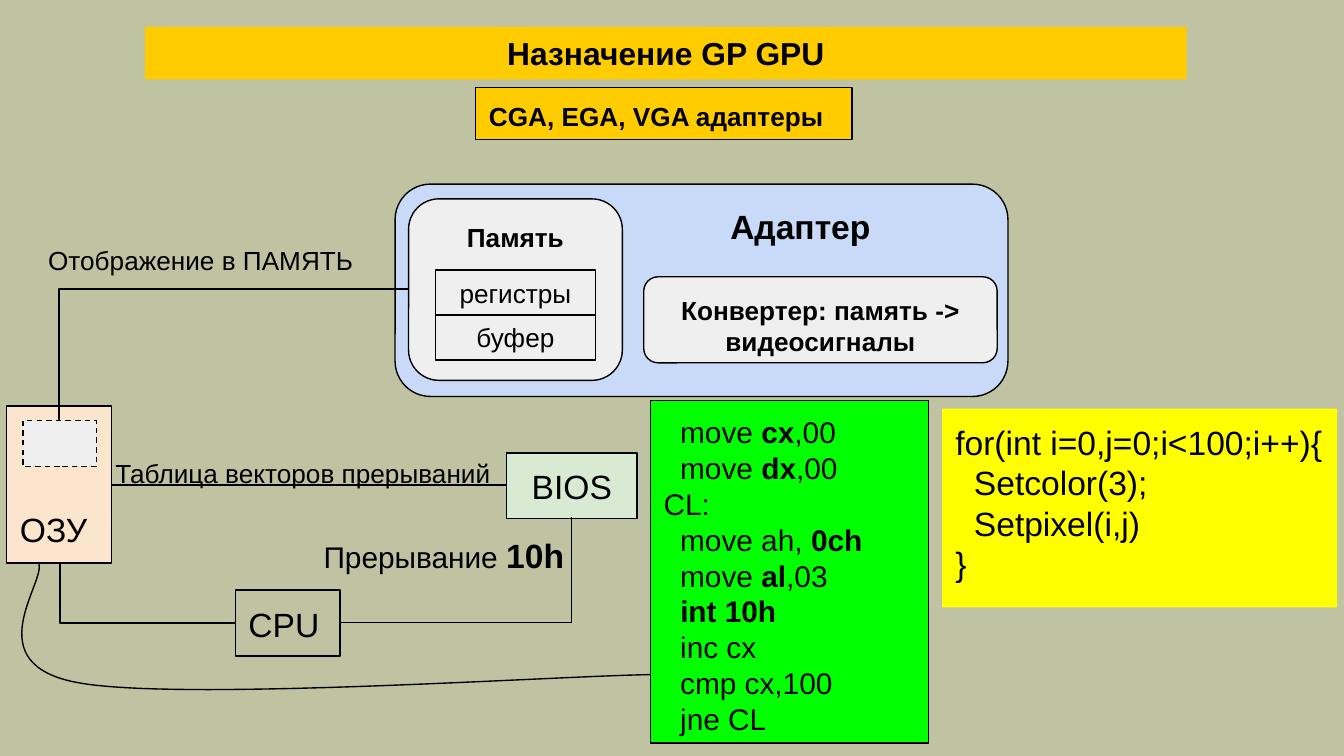
from dataclasses import dataclass

from lxml import etree
from pptx import Presentation
from pptx.dml.color import RGBColor
from pptx.enum.dml import MSO_LINE
from pptx.enum.shapes import MSO_CONNECTOR, MSO_SHAPE
from pptx.enum.text import MSO_ANCHOR, PP_ALIGN
from pptx.oxml.ns import qn
from pptx.util import Emu, Pt

SCALE = 9144  # EMU in one px, 100 px to the inch
SLIDE_WIDTH = 1000
RECTANGLE, ROUNDED = MSO_SHAPE.RECTANGLE, MSO_SHAPE.ROUNDED_RECTANGLE
ELBOW = MSO_CONNECTOR.ELBOW
LEFT, CENTER = PP_ALIGN.LEFT, PP_ALIGN.CENTER
TOP, MIDDLE, BOTTOM = MSO_ANCHOR.TOP, MSO_ANCHOR.MIDDLE, MSO_ANCHOR.BOTTOM
DASH = MSO_LINE.DASH
FONT = "Arial"
COLORS = {
    "background": "C0C3A1", "ink": "000000", "gold": "FFCC00",
    "adapter": "C9DAF8", "panel": "EFEFEF", "memory": "FCE5CD",
    "bios": "D9EAD3", "assembler": "00FF00", "code": "FFFF00",
}


@dataclass(frozen=True)
class Run:
    text: str
    size: int
    bold: bool = False


@dataclass(frozen=True)
class Box:
    left: int
    top: int
    width: int
    height: int
    lines: tuple[tuple[Run, ...], ...] = ()
    fill: str | None = None
    outlined: bool = True
    kind: int = RECTANGLE
    align: int = LEFT
    anchor: int = TOP
    vertical_inset: int = 10
    dashed: bool = False


@dataclass(frozen=True)
class Link:
    begin: tuple[int, int]
    end: tuple[int, int]
    preset: str = "bentConnector2"
    rotation: int = 0


def px(value: int) -> Emu:
    return Emu(value * SCALE)


def color(name: str) -> RGBColor:
    return RGBColor.from_string(COLORS[name])


def line(text: str, size: int, bold: bool = False) -> tuple[Run, ...]:
    return (Run(text, size, bold),)


def code_line(before: str, strong: str = "", after: str = "") -> tuple[Run, ...]:
    runs = (Run(before, 16), Run(strong, 16, True), Run(after, 16))
    return tuple(run for run in runs if run.text)


def draw_outline(shape) -> None:
    shape.line.color.rgb = color("ink")
    shape.line.width = Pt(0.75)


def write_text(shape, box: Box) -> None:
    frame = shape.text_frame
    frame.word_wrap = True
    frame.vertical_anchor = box.anchor
    frame.margin_left = frame.margin_right = px(10)
    frame.margin_top = frame.margin_bottom = px(box.vertical_inset)
    for index, runs in enumerate(box.lines):
        paragraph = frame.add_paragraph() if index else frame.paragraphs[0]
        paragraph.alignment = box.align
        for item in runs:
            run = paragraph.add_run()
            run.text = item.text
            run.font.name = FONT
            run.font.size = Pt(item.size)
            run.font.bold = item.bold
            run.font.color.rgb = color("ink")


def draw_box(slide, box: Box) -> None:
    place = [px(v) for v in (box.left, box.top, box.width, box.height)]
    if box.fill is None and not box.outlined:
        shape = slide.shapes.add_textbox(*place)
    else:
        shape = slide.shapes.add_shape(box.kind, *place)
        shape.shadow.inherit = False
        if box.fill:
            shape.fill.solid()
            shape.fill.fore_color.rgb = color(box.fill)
        else:
            shape.fill.background()
        if box.outlined:
            draw_outline(shape)
        else:
            shape.line.fill.background()
        if box.dashed:
            shape.line.dash_style = DASH
    if box.lines:
        write_text(shape, box)


def draw_link(slide, link: Link) -> None:
    connector = slide.shapes.add_connector(
        ELBOW, *(px(v) for v in link.begin + link.end))
    draw_outline(connector)
    properties = connector._element.spPr
    properties.find(qn("a:prstGeom")).set("prst", link.preset)
    if link.rotation:
        properties.find(qn("a:xfrm")).set("rot", str(link.rotation * 60000))
    etree.SubElement(properties, qn("a:effectLst"))


def draw_curve(slide, start, curves, corners) -> None:
    """Draw cubic curves; start and corners span their bounding box."""
    builder = slide.shapes.build_freeform(*start, scale=SCALE)
    builder.add_line_segments(corners, close=False)
    shape = builder.convert_to_shape()
    shape.shadow.inherit = False
    shape.fill.background()
    draw_outline(shape)
    left, top = (min(values) for values in zip(start, *corners))
    path = shape._element.spPr.find(".//" + qn("a:path"))
    for segment in path.findall(qn("a:lnTo")):
        path.remove(segment)
    for points in curves:
        curve = etree.SubElement(path, qn("a:cubicBezTo"))
        for x, y in points:
            etree.SubElement(curve, qn("a:pt"), x=str(x - left), y=str(y - top))


HEADINGS = [
    Box(108, 20, 775, 39, (line("Назначение GP GPU", 17, True),), "gold",
        outlined=False, align=CENTER, vertical_inset=5),
    Box(354, 65, 280, 39, (line("CGA, EGA, VGA адаптеры", 14, True),), "gold"),
]
ADAPTER = [
    Box(294, 137, 456, 158, fill="adapter", kind=ROUNDED),
    Box(304, 148, 159, 135, (line("Память", 14, True),), "panel",
        kind=ROUNDED, align=CENTER),
    *(Box(324, 201 + 33 * row, 119, 34, (line(name, 14),), align=CENTER,
          anchor=MIDDLE) for row, name in enumerate(("регистры", "буфер"))),
    Box(479, 206, 263, 64, (line("Конвертер: память -> видеосигналы", 14, True),),
        "panel", kind=ROUNDED, align=CENTER),
    Box(516, 151, 159, 34, (line("Адаптер", 18, True),), outlined=False,
        align=CENTER, anchor=MIDDLE),
]
COMPUTER = [
    Box(5, 302, 78, 117, (line("ОЗУ", 18),), "memory", anchor=BOTTOM),
    Box(17, 313, 55, 34, fill="panel", dashed=True),
    Box(175, 439, 78, 49, (line("CPU", 18),)),
    Box(377, 337, 97, 49, (line("BIOS", 18),), "bios", align=CENTER),
]
LABELS = [
    Box(26, 172, 257, 34, (line("Отображение в ПАМЯТЬ", 14),), outlined=False),
    Box(76, 330, 318, 34, (line("Таблица векторов прерываний", 14),), outlined=False),
    Box(231, 388, 207, 34, ((Run("Прерывание ", 16), Run("10h", 18, True)),),
        outlined=False),
]
LISTINGS = [
    Box(484, 298, 207, 255, (
        code_line("  move ", "cx", ",00"),
        code_line("  move ", "dx", ",00"),
        code_line("CL:"),
        code_line("  move ah, ", "0ch"),
        code_line("  move ", "al", ",03"),
        code_line("  ", "int 10h"),
        code_line("  inc cx"),
        code_line("  cmp cx,100"),
        code_line("  jne CL"),
    ), "assembler"),
    Box(701, 304, 294, 148, tuple(line(text, 18) for text in (
        "for(int i=0,j=0;i<100;i++){", "  Setcolor(3);", "  Setpixel(i,j)", "}",
    )), "code", outlined=False),
]
# Rotated links give their ends as they lie before the turn
LINKS = [
    Link((304, 215), (44, 313)),
    Link((377, 361), (83, 361), "bentConnector3"),
    Link((132, 376), (88, 507), rotation=270),
    Link((300, 338), (378, 510), rotation=90),
]


def main() -> None:
    presentation = Presentation()
    presentation.slide_width = px(SLIDE_WIDTH)
    presentation.slide_height = Emu(px(SLIDE_WIDTH) * 9 // 16)
    slide = presentation.slides.add_slide(presentation.slide_layouts[6])
    slide.background.fill.solid()
    slide.background.fill.fore_color.rgb = color("background")

    # Blocks, captions and code
    for box in HEADINGS + ADAPTER + COMPUTER + LABELS + LISTINGS:
        draw_box(slide, box)

    # Connections, with the curve from the assembler code to memory
    for link in LINKS:
        draw_link(slide, link)
    draw_curve(slide, (484, 502), (
        ((413, 503), (134, 522), (58, 508)),
        ((-18, 494), (34, 434), (29, 419)),
    ), ((17, 513), (29, 419)))

    presentation.save("out.pptx")


if __name__ == "__main__":
    main()
